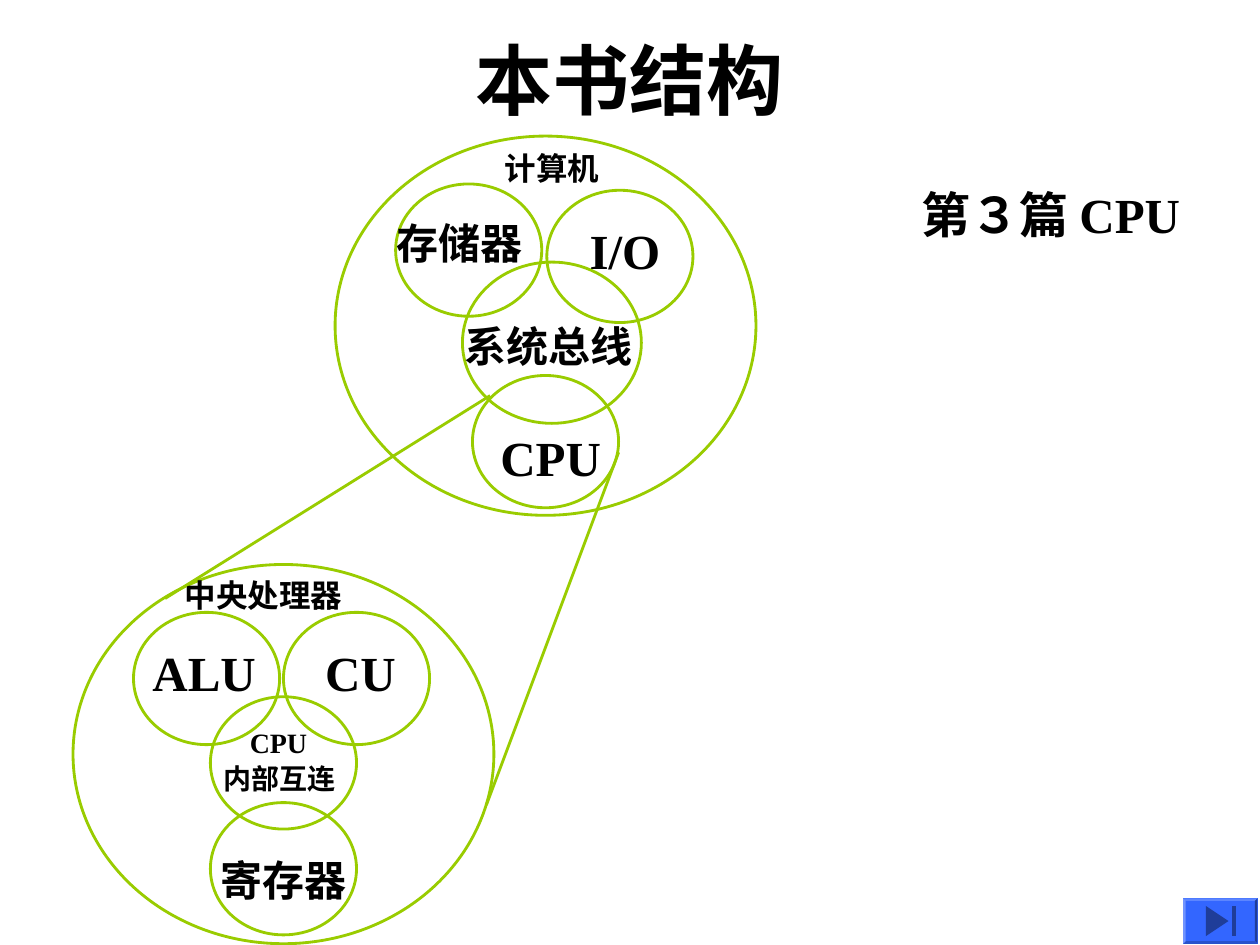
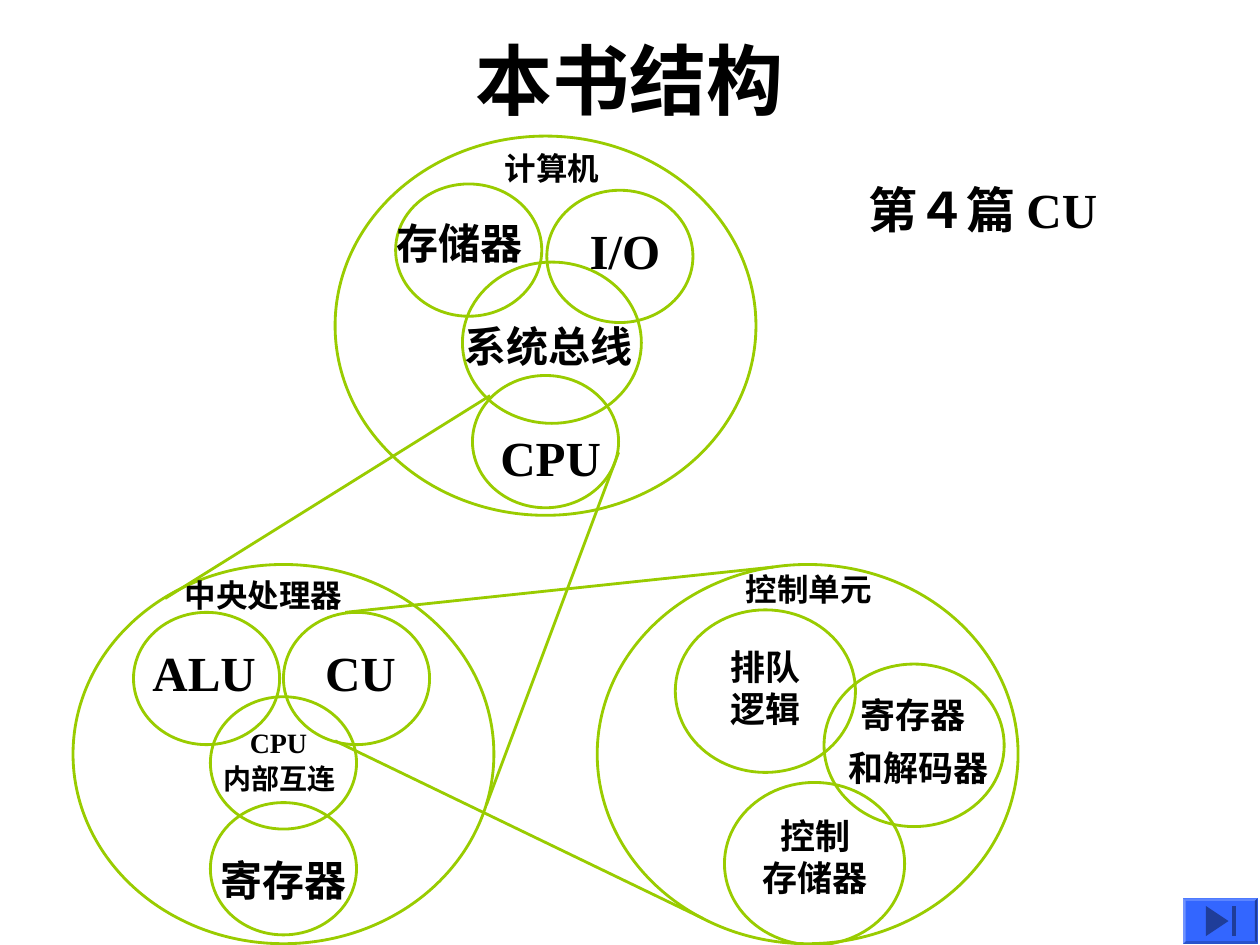
from dataclasses import dataclass

from lxml import etree
from pptx import Presentation
from pptx.dml.color import RGBColor
from pptx.enum.shapes import MSO_CONNECTOR as CONNECTOR, MSO_SHAPE as SHAPE
from pptx.enum.text import MSO_ANCHOR as ANCHOR, PP_ALIGN as ALIGN
from pptx.oxml.ns import qn
from pptx.util import Inches, Pt

BLACK = RGBColor(0x00, 0x00, 0x00)
GREEN = RGBColor(0x99, 0xCC, 0x00)
BUTTON_BLUE = RGBColor(0x33, 0x66, 0xFF)
BUTTON_LIGHT = RGBColor(0x70, 0x94, 0xFF)
BUTTON_PALE = RGBColor(0x5C, 0x85, 0xFF)
BUTTON_DARK = RGBColor(0x1F, 0x3D, 0x99)
BUTTON_SHADE = RGBColor(0x29, 0x52, 0xCC)
LATIN_FONT = "Times New Roman"
CHINESE_FONT = "Noto Sans CJK SC"
LINE_WIDTH = Pt(1.62)
OUTER_SIZE = (3.34, 3.01)
SMALL_SIZE = (1.16, 1.05)
BUS_SIZE = (1.42, 1.28)
UNIT_SIZE = (1.43, 1.29)


@dataclass
class Cluster:
    """A large circle with inner circles and labels, offset from its corner."""
    left: float
    top: float
    circles: list
    labels: list


COMPUTER = Cluster(
    2.66, 1.08,
    [(0.48, 0.38, SMALL_SIZE), (1.68, 0.43, SMALL_SIZE),
     (1.01, 1.00, BUS_SIZE), (1.09, 1.90, SMALL_SIZE)],
    [("计算机", 18, 1.72, 0.25), ("存储器", 24, 0.99, 0.85),
     ("I/O", 28, 2.30, 0.90), ("系统总线", 24, 1.69, 1.66),
     ("CPU", 28, 1.71, 2.55)])
PROCESSOR = Cluster(
    0.58, 4.48,
    [(1.09, 1.05, SMALL_SIZE), (0.48, 0.38, SMALL_SIZE),
     (1.67, 0.38, SMALL_SIZE), (1.09, 1.89, SMALL_SIZE)],
    [("中央处理器", 18, 1.51, 0.24), ("ALU", 28, 1.04, 0.85),
     ("CU", 28, 2.28, 0.85), ("CPU", 16, 1.63, 1.41),
     ("内部互连", 16, 1.64, 1.70), ("寄存器", 24, 1.67, 2.50)])
CONTROL_UNIT = Cluster(
    4.74, 4.48,
    [(1.80, 0.79, UNIT_SIZE), (0.62, 0.36, UNIT_SIZE), (1.01, 1.73, UNIT_SIZE)],
    [("控制单元", 18, 1.68, 0.19), ("排队\n逻辑", 20, 1.34, 0.98),
     ("寄存器", 20, 2.51, 1.19), ("和解码器", 20, 2.55, 1.61),
     ("控制\n存储器", 20, 1.73, 2.32)])

PROCESSOR_ZOOM = [((3.89, 3.14), (1.31, 4.75)), ((4.91, 3.59), (3.86, 6.39))]
CONTROL_ZOOM = [((2.66, 5.88), (5.58, 7.29)), ((2.74, 4.86), (6.14, 4.50))]


def style_run(run, size, latin_font):
    """Format a run in bold black with a Latin and a Chinese font."""
    font = run.font
    font.size = Pt(size)
    font.bold = True
    font.color.rgb = BLACK
    font.name = latin_font
    east_asian = etree.Element(qn("a:ea"), typeface=CHINESE_FONT)
    run._r.rPr.find(qn("a:latin")).addnext(east_asian)


def add_label(slide, center_x, center_y, size, *texts):
    """Add centred text, one run for each text, around a point."""
    lines = texts[0].count("\n") + 1
    width = sum(map(len, texts)) * size / 72 + 0.2
    height = lines * size * 1.45 / 72
    box = slide.shapes.add_textbox(
        Inches(center_x - width / 2), Inches(center_y - height / 2),
        Inches(width), Inches(height))
    frame = box.text_frame
    frame.word_wrap = True
    frame.vertical_anchor = ANCHOR.MIDDLE
    frame.margin_left = frame.margin_right = 0
    frame.margin_top = frame.margin_bottom = 0
    frame.text = texts[0]
    for text in texts[1:]:
        frame.paragraphs[-1].add_run().text = text
    for paragraph in frame.paragraphs:
        paragraph.alignment = ALIGN.CENTER
        for run in paragraph.runs:
            style_run(run, size, LATIN_FONT if run.text.isascii() else CHINESE_FONT)


def add_circle(slide, left, top, size):
    """Add an unfilled green ellipse."""
    circle = slide.shapes.add_shape(
        SHAPE.OVAL, Inches(left), Inches(top), *map(Inches, size))
    circle.shadow.inherit = False
    circle.fill.background()
    circle.line.color.rgb = GREEN
    circle.line.width = LINE_WIDTH


def add_cluster(slide, cluster):
    """Draw the outer circle, the inner circles and the labels of a cluster."""
    add_circle(slide, cluster.left, cluster.top, OUTER_SIZE)
    for left, top, size in cluster.circles:
        add_circle(slide, cluster.left + left, cluster.top + top, size)
    for text, size, center_x, center_y in cluster.labels:
        add_label(slide, cluster.left + center_x, cluster.top + center_y, size, text)


def add_zoom_lines(slide, lines):
    """Connect a small circle to the cluster that enlarges it."""
    for start, end in lines:
        connector = slide.shapes.add_connector(
            CONNECTOR.STRAIGHT, *map(Inches, start + end))
        connector.line.color.rgb = GREEN
        connector.line.width = LINE_WIDTH
        etree.SubElement(connector._element.spPr, qn("a:effectLst"))


def add_polygon(slide, points, color):
    """Add a filled outline without a border."""
    vertices = [(Inches(x), Inches(y)) for x, y in points]
    builder = slide.shapes.build_freeform(*vertices[0])
    builder.add_line_segments(vertices[1:], close=True)
    polygon = builder.convert_to_shape()
    polygon.shadow.inherit = False
    polygon.fill.solid()
    polygon.fill.fore_color.rgb = color
    polygon.line.fill.background()


def add_end_button(slide, left, top, width, height):
    """Draw a bevelled button with a skip-to-end symbol."""
    def corners(inset_x, inset_y):
        right, bottom = left + width - inset_x, top + height - inset_y
        return [(left + inset_x, top + inset_y), (right, top + inset_y),
                (right, bottom), (left + inset_x, bottom)]

    outer, inner = corners(0, 0), corners(0.02, 0.02)
    add_polygon(slide, outer, BUTTON_BLUE)
    shades = (BUTTON_PALE, BUTTON_DARK, BUTTON_SHADE, BUTTON_LIGHT)
    for side, shade in enumerate(shades):
        after = (side + 1) % 4
        add_polygon(slide, [outer[side], outer[after], inner[after], inner[side]], shade)
    middle, upper, lower = top + height / 2, top + 0.06, top + height - 0.06
    add_polygon(slide, [(left + 0.36, middle), (left + 0.18, lower),
                        (left + 0.18, upper)], BUTTON_DARK)
    add_polygon(slide, [(left + 0.39, upper), (left + 0.39, lower),
                        (left + 0.42, lower), (left + 0.42, upper)], BUTTON_DARK)


def add_title(slide, text):
    """Fill and format the title placeholder."""
    title = slide.shapes.title
    title.left, title.top = Inches(0.75), Inches(0)
    title.width, title.height = Inches(8.5), Inches(1.25)
    frame = title.text_frame
    frame.text = text
    frame.vertical_anchor = ANCHOR.MIDDLE
    frame.paragraphs[0].alignment = ALIGN.CENTER
    style_run(frame.paragraphs[0].runs[0], 44, "Arial")


def add_structure_slide(presentation, part, center, clusters, zoom_lines):
    """Add a slide that shows one part of the book's structure."""
    slide = presentation.slides.add_slide(presentation.slide_layouts[5])
    add_title(slide, "本书结构")
    for cluster in clusters:
        add_cluster(slide, cluster)
    add_zoom_lines(slide, zoom_lines)
    add_label(slide, *center, 28, *part)
    add_end_button(slide, 9.39, 7.13, 0.59, 0.36)


def main():
    """Build and save the presentation."""
    presentation = Presentation()
    presentation.slide_width = Inches(10)
    presentation.slide_height = Inches(7.5)
    add_structure_slide(presentation, ("第３篇 ", "CPU"), (8.34, 1.7),
                        [COMPUTER, PROCESSOR], PROCESSOR_ZOOM)
    add_structure_slide(presentation, ("第４篇 ", "CU"), (7.8, 1.66),
                        [COMPUTER, PROCESSOR, CONTROL_UNIT],
                        PROCESSOR_ZOOM + CONTROL_ZOOM)
    presentation.save("out.pptx")


if __name__ == "__main__":
    main()
